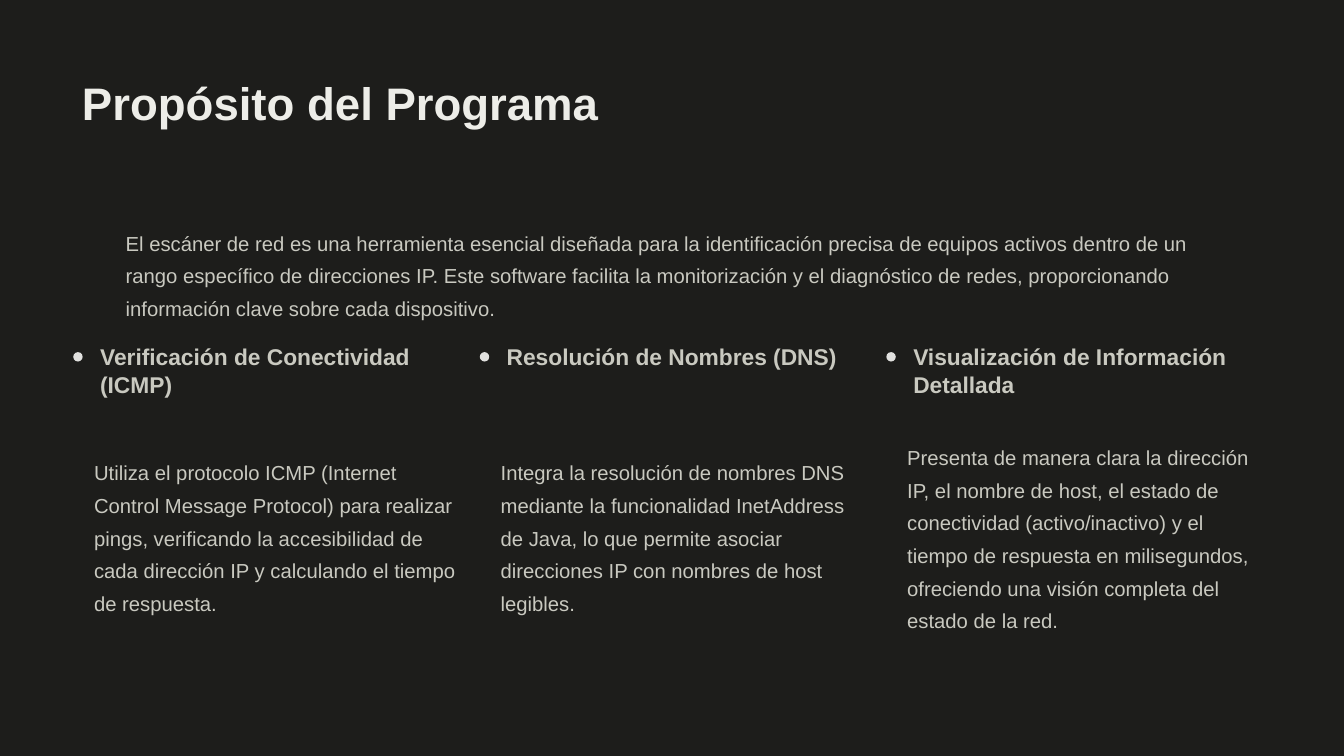
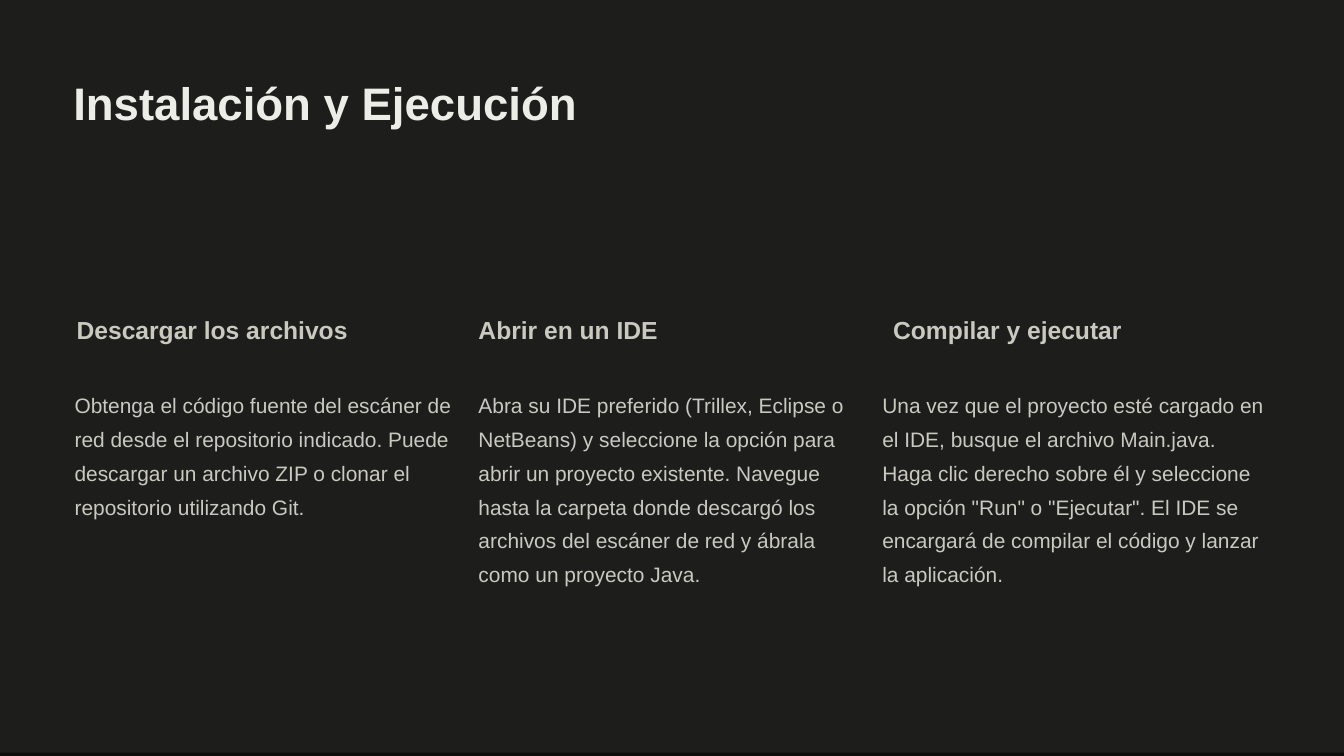
from dataclasses import dataclass

from pptx import Presentation
from pptx import util as u
from pptx.dml.color import RGBColor
from pptx.enum import shapes, text
from pptx.presentation import Presentation as Deck
from pptx.shapes.autoshape import Shape
from pptx.slide import Slide

BLACK = RGBColor(0x00, 0x00, 0x00)
BACKDROP = RGBColor(0x0D, 0x0D, 0x0C)
PANEL = RGBColor(0x1D, 0x1D, 0x1B)
TITLE_INK = RGBColor(0xED, 0xED, 0xE8)
TEXT_INK = RGBColor(0xC9, 0xC9, 0xC0)
BULLET_INK = RGBColor(0xE1, 0xE1, 0xDF)

FONT = "Arial"
WIDTH, HEIGHT = 20, 11.25
TITLE_ONLY = 5
LEFT_MARGIN = 1.09
BULLET_SIZE = 0.14


@dataclass(frozen=True)
class Style:
    size: float
    leading: float
    color: RGBColor = TEXT_INK
    bold: bool = False


@dataclass(frozen=True)
class Box:
    left: float
    top: float
    width: float
    height: float


@dataclass(frozen=True)
class Topic:
    heading: str
    heading_box: Box
    detail: str
    detail_box: Box


TITLE = Style(48.8, 60.6, TITLE_INK, True)
PURPOSE_HEADING = Style(24.4, 30, bold=True)
PURPOSE_DETAIL = Style(21.7, 35)
STEP_HEADING = Style(26.4, 32.5, bold=True)
STEP_DETAIL = Style(22.4, 36.1)

INTRO = (
    "El escáner de red es una herramienta esencial diseñada para la identificación "
    "precisa de equipos activos dentro de un rango específico de direcciones IP. Este "
    "software facilita la monitorización y el diagnóstico de redes, proporcionando "
    "información clave sobre cada dispositivo."
)

PURPOSE_LEFTS = [LEFT_MARGIN + 6.05 * column for column in range(3)]
STEP_LEFTS = [1.11 + 6.01 * column for column in range(3)]

PURPOSES = [
    Topic(
        "Verificación de Conectividad (ICMP)",
        Box(PURPOSE_LEFTS[0] + 0.4, 5.09, 5.31, 0.86),
        "Utiliza el protocolo ICMP (Internet Control Message Protocol) para realizar "
        "pings, verificando la accesibilidad de cada dirección IP y calculando el "
        "tiempo de respuesta.",
        Box(PURPOSE_LEFTS[0] + 0.31, 6.73, 5.39, 2.37),
    ),
    Topic(
        "Resolución de Nombres (DNS)",
        Box(PURPOSE_LEFTS[1] + 0.4, 5.09, 5.19, 0.43),
        "Integra la resolución de nombres DNS mediante la funcionalidad InetAddress de "
        "Java, lo que permite asociar direcciones IP con nombres de host legibles.",
        Box(PURPOSE_LEFTS[1] + 0.31, 6.73, 5.39, 2.37),
    ),
    Topic(
        "Visualización de Información Detallada",
        Box(PURPOSE_LEFTS[2] + 0.4, 5.09, 5.31, 0.86),
        "Presenta de manera clara la dirección IP, el nombre de host, el estado de "
        "conectividad (activo/inactivo) y el tiempo de respuesta en milisegundos, "
        "ofreciendo una visión completa del estado de la red.",
        Box(PURPOSE_LEFTS[2] + 0.31, 6.5, 5.39, 3.32),
    ),
]

STEPS = [
    Topic(
        "Descargar los archivos",
        Box(STEP_LEFTS[0] + 0.03, 4.67, 4.57, 0.45),
        "Obtenga el código fuente del escáner de red desde el repositorio indicado. "
        "Puede descargar un archivo ZIP o clonar el repositorio utilizando Git.",
        Box(STEP_LEFTS[0], 5.72, 5.76, 1.98),
    ),
    Topic(
        "Abrir en un IDE",
        Box(STEP_LEFTS[1], 4.67, 3.39, 0.45),
        "Abra su IDE preferido (Trillex, Eclipse o NetBeans) y seleccione la opción "
        "para abrir un proyecto existente. Navegue hasta la carpeta donde descargó los "
        "archivos del escáner de red y ábrala como un proyecto Java.",
        Box(STEP_LEFTS[1], 5.72, 5.48, 3.48),
    ),
    Topic(
        "Compilar y ejecutar",
        Box(STEP_LEFTS[2] + 0.16, 4.67, 4, 0.45),
        "Una vez que el proyecto esté cargado en el IDE, busque el archivo Main.java. "
        "Haga clic derecho sobre él y seleccione la opción \"Run\" o \"Ejecutar\". El IDE "
        "se encargará de compilar el código y lanzar la aplicación.",
        Box(STEP_LEFTS[2], 5.72, 5.76, 2.98),
    ),
]


def in_inches(box: Box) -> tuple[u.Length, ...]:
    return tuple(u.Inches(side) for side in (box.left, box.top, box.width, box.height))


def write(holder: Shape, words: str, style: Style) -> None:
    frame = holder.text_frame
    frame.text = words
    frame.word_wrap = True
    frame.auto_size = text.MSO_AUTO_SIZE.SHAPE_TO_FIT_TEXT
    frame.vertical_anchor = text.MSO_ANCHOR.TOP
    frame.margin_left = frame.margin_top = frame.margin_right = frame.margin_bottom = 0
    paragraph = frame.paragraphs[0]
    paragraph.alignment = text.PP_ALIGN.LEFT
    paragraph.line_spacing = u.Pt(style.leading)
    font = paragraph.runs[0].font
    font.name = FONT
    font.size = u.Pt(style.size)
    font.bold = style.bold
    font.color.rgb = style.color


def add_text(slide: Slide, words: str, box: Box, style: Style) -> None:
    write(slide.shapes.add_textbox(*in_inches(box)), words, style)


def add_filled(slide: Slide, kind: shapes.MSO_SHAPE, box: Box, color: RGBColor) -> None:
    filled = slide.shapes.add_shape(kind, *in_inches(box))
    filled.shadow.inherit = False
    filled.fill.solid()
    filled.fill.fore_color.rgb = color
    filled.line.fill.background()


def add_topic(slide: Slide, topic: Topic, heading: Style, detail: Style) -> None:
    add_text(slide, topic.heading, topic.heading_box, heading)
    add_text(slide, topic.detail, topic.detail_box, detail)


def start_slide(deck: Deck, words: str, title_box: Box, panel_top: float = 0) -> Slide:
    slide = deck.slides.add_slide(deck.slide_layouts[TITLE_ONLY])
    for top, color in ((0, BACKDROP), (panel_top, PANEL)):
        add_filled(slide, shapes.MSO_SHAPE.RECTANGLE, Box(0, top, WIDTH, HEIGHT), color)
    title = slide.shapes.title
    slide.shapes.element.append(title.element)
    title.left, title.top, title.width, title.height = in_inches(title_box)
    write(title, words, TITLE)
    return slide


def build_purpose(deck: Deck) -> None:
    slide = start_slide(deck, "Propósito del Programa", Box(1.22, 1.09, 8.09, 0.88))
    add_text(slide, INTRO, Box(1.87, 3.31, 16.26, 1.41), PURPOSE_DETAIL)
    for left, purpose in zip(PURPOSE_LEFTS, PURPOSES):
        bullet = Box(left, 5.24, BULLET_SIZE, BULLET_SIZE)
        add_filled(slide, shapes.MSO_SHAPE.OVAL, bullet, BULLET_INK)
        add_topic(slide, purpose, PURPOSE_HEADING, PURPOSE_DETAIL)


def build_installation(deck: Deck) -> None:
    title_box = Box(LEFT_MARGIN, 1.09, 8.03, 0.88)
    slide = start_slide(deck, "Instalación y Ejecución", title_box, panel_top=-0.05)
    for step in STEPS:
        add_topic(slide, step, STEP_HEADING, STEP_DETAIL)


def main() -> None:
    deck = Presentation()
    deck.slide_width = u.Inches(WIDTH)
    deck.slide_height = u.Inches(HEIGHT)
    backdrop = deck.slide_master.background.fill
    backdrop.solid()
    backdrop.fore_color.rgb = BLACK
    build_purpose(deck)
    build_installation(deck)
    deck.save("out.pptx")


if __name__ == "__main__":
    main()
